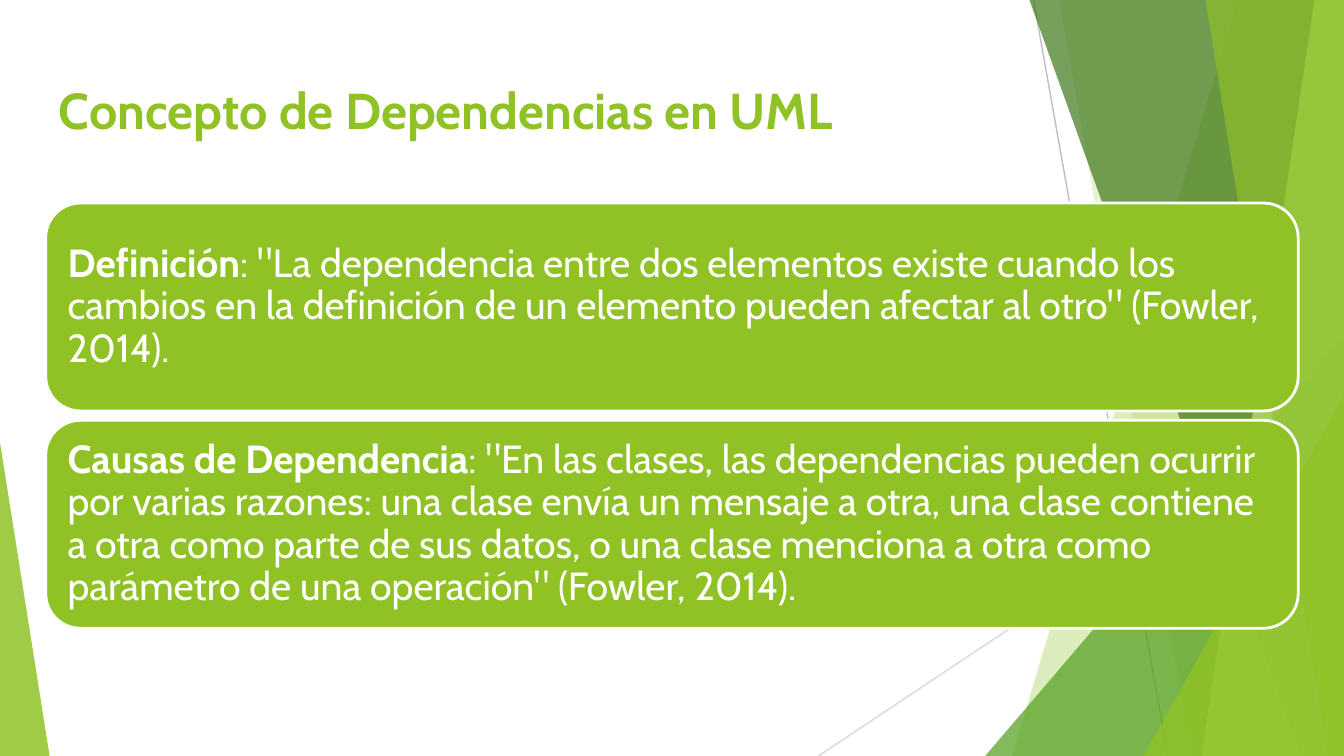
"""Build the slide on the concept of dependencies in UML."""
from dataclasses import dataclass

from lxml import etree
from pptx import Presentation
from pptx.dml.color import RGBColor
from pptx.enum import shapes, text
from pptx.oxml.ns import qn
from pptx.util import Pt

W, H = 720, 405
GREEN, WHITE, FONT = "90C226", "FFFFFF", "Cabin"


@dataclass
class Ray:
    x1: float
    y1: float
    x2: float
    y2: float
    color: str


@dataclass
class Band:
    top_x: float
    bottom_x: float
    color: str
    alpha: int


@dataclass
class Wedge:
    left: float
    top: float
    width: float
    apex: float
    color: str
    alpha: int


@dataclass
class Card:
    heading: str
    body: str


RAYS = [Ray(553.7, 0, 625.7, H, "BFBFBF"), Ray(W, 217.4, 438.5, H, "D9D9D9")]
FACETS = [
    Band(663.1, 542.2, GREEN, 30),
    Band(567.4, 638.6, GREEN, 20),
    Wedge(527.8, 180, 192.2, 1, "54A021", 72),
    Band(551.5, 697, "3F7819", 70),
    Band(704.2, 643.7, "C0E474", 70),
    Band(645.8, 711.4, GREEN, 65),
    Wedge(612.7, 211.7, 107.3, 1, GREEN, 80),
    Wedge(0, 236.9, 26.6, 0, GREEN, 85),
]
CARDS = [
    Card("Definición",
         ': "La dependencia entre dos elementos existe cuando los cambios en la '
         'definición de un elemento pueden afectar al otro" (Fowler, 2014).'),
    Card("Causas de Dependencia",
         ': "En las clases, las dependencias pueden ocurrir por varias razones: '
         'una clase envía un mensaje a otra, una clase contiene a otra como parte '
         'de sus datos, o una clase menciona a otra como parámetro de una '
         'operación" (Fowler, 2014).'),
]
LEFT, WIDTH = 24.5, 671
CARD_TOP, CARD_HEIGHT, CARD_STEP = 108.8, 111.4, 116.4


def rgb(value: str) -> RGBColor:
    return RGBColor.from_string(value)


def fill(sp, color: str, alpha: int = 100) -> None:
    sp.shadow.inherit = False
    sp.fill.solid()
    sp.fill.fore_color.rgb = rgb(color)
    if alpha < 100:
        clr = sp.fill._xPr.find(qn("a:solidFill"))[0]
        etree.SubElement(clr, qn("a:alpha"), val=str(alpha * 1000))


def draw_ray(s, ray: Ray) -> None:
    line = s.shapes.add_connector(shapes.MSO_CONNECTOR.STRAIGHT, Pt(ray.x1),
                                  Pt(ray.y1), Pt(ray.x2), Pt(ray.y2))
    line.line.color.rgb = rgb(ray.color)
    line.line.width = Pt(0.75)
    etree.SubElement(line._element.spPr, qn("a:effectLst"))


def draw_facet(s, facet: Band | Wedge) -> None:
    if isinstance(facet, Band):
        builder = s.shapes.build_freeform(Pt(facet.top_x), 0)
        builder.add_line_segments([(Pt(W), 0), (Pt(W), Pt(H)),
                                   (Pt(facet.bottom_x), Pt(H))])
        sp = builder.convert_to_shape()
    else:
        sp = s.shapes.add_shape(shapes.MSO_SHAPE.ISOSCELES_TRIANGLE,
                                Pt(facet.left), Pt(facet.top),
                                Pt(facet.width), Pt(H - facet.top))
        sp.adjustments[0] = facet.apex
    fill(sp, facet.color, facet.alpha)
    sp.line.fill.background()


def set_frame(tf, inset: float, anchor) -> None:
    tf.word_wrap = True
    tf.vertical_anchor = anchor
    tf.margin_left = tf.margin_right = tf.margin_top = tf.margin_bottom = Pt(inset)


def set_font(p, size: float, color: str) -> None:
    p.alignment = text.PP_ALIGN.LEFT
    p.font.name = FONT
    p.font.size = Pt(size)
    p.font.color.rgb = rgb(color)


def draw_title(s, title: str) -> None:
    tf = s.shapes.add_textbox(Pt(LEFT), Pt(35.3), Pt(WIDTH), Pt(45.4)).text_frame
    set_frame(tf, 7.2, text.MSO_ANCHOR.TOP)
    p = tf.paragraphs[0]
    p.text = title
    set_font(p, 27, GREEN)
    p.font.bold = True


def draw_card(s, card: Card, top: float) -> None:
    sp = s.shapes.add_shape(shapes.MSO_SHAPE.ROUNDED_RECTANGLE, Pt(LEFT), Pt(top),
                            Pt(WIDTH), Pt(CARD_HEIGHT))
    fill(sp, GREEN)
    sp.line.color.rgb = rgb(WHITE)
    sp.line.width = Pt(1.5)
    set_frame(sp.text_frame, 6.3, text.MSO_ANCHOR.MIDDLE)
    p = sp.text_frame.paragraphs[0]
    p.line_spacing = 0.9
    set_font(p, 21, WHITE)
    for content, bold in ((card.heading, True), (card.body, False)):
        r = p.add_run()
        r.text = content
        r.font.bold = bold


def main() -> None:
    prs = Presentation()
    prs.slide_width, prs.slide_height = Pt(W), Pt(H)
    s = prs.slides.add_slide(prs.slide_layouts[6])
    for ray in RAYS:
        draw_ray(s, ray)
    for facet in FACETS:
        draw_facet(s, facet)
    draw_title(s, "Concepto de Dependencias en UML")
    for i, card in enumerate(CARDS):
        draw_card(s, card, CARD_TOP + i * CARD_STEP)
    prs.save("out.pptx")


if __name__ == "__main__":
    main()
